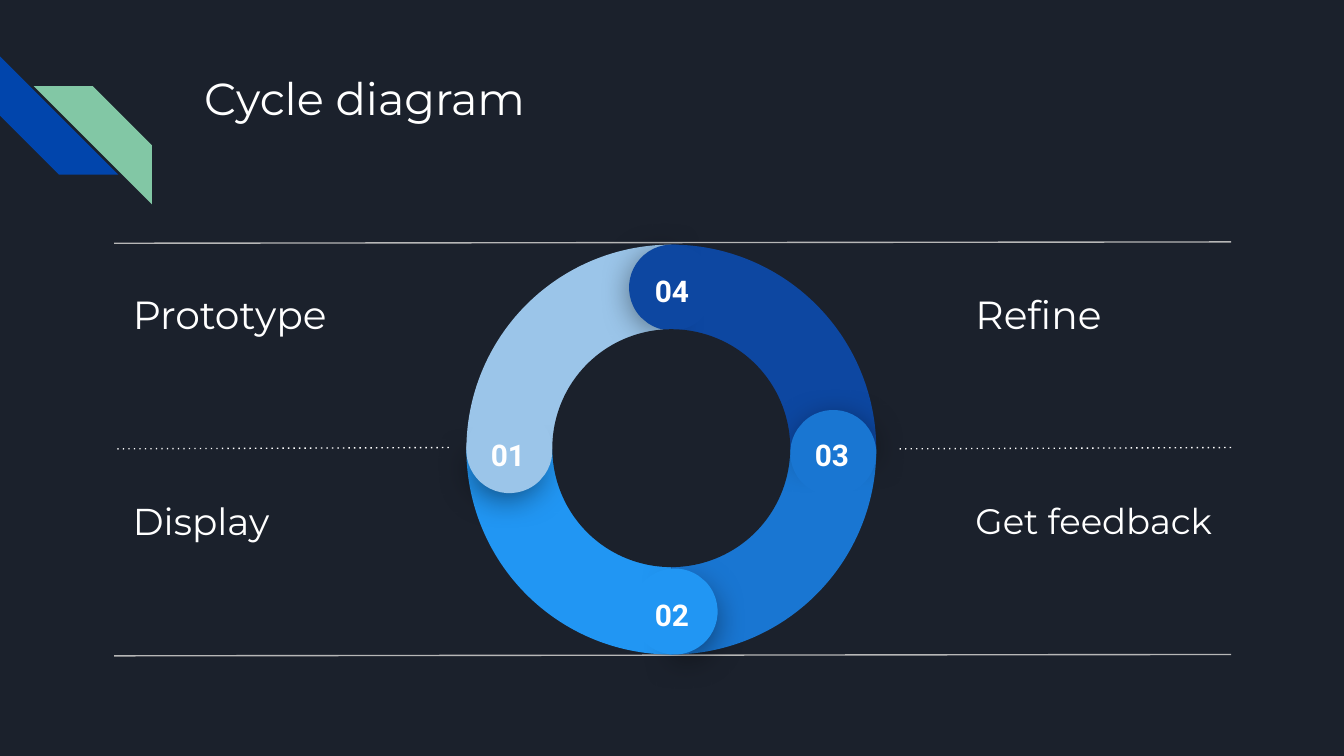
from lxml.etree import SubElement
from pptx import Presentation
from pptx.dml.color import RGBColor
from pptx.enum.shapes import MSO_CONNECTOR, MSO_SHAPE
from pptx.enum.text import MSO_ANCHOR, PP_ALIGN
from pptx.oxml.ns import qn
from pptx.util import Inches, Pt

hues = {
    "night": "1B212C", "white": "FFFFFF", "gray": "B7B7B7",
    "royal": "0145AC", "green": "82C7A5",
    "pale": "9BC5E9", "sky": "2196F3", "blue": "1976D2", "navy": "0D47A1",
}

deck = Presentation()
deck.slide_width = Inches(10)
deck.slide_height = Inches(10 * 9 / 16)
slide = deck.slides.add_slide(deck.slide_layouts[6])
back = slide.background.fill
back.solid()
back.fore_color.rgb = RGBColor.from_string(hues["night"])


def draw(kind, left, top, size, hue, turn=0, adjust=()):
    shape = slide.shapes.add_shape(
        kind, Inches(left), Inches(top), Inches(size), Inches(size))
    for i, value in enumerate(adjust):
        shape.adjustments[i] = value
    shape.rotation = turn % 360
    shape.fill.solid()
    shape.fill.fore_color.rgb = RGBColor.from_string(hues[hue])
    shape.line.fill.background()
    shape.shadow.inherit = False
    return shape


def write(text, left, top, width, height, size, font="Montserrat",
          anchor=MSO_ANCHOR.TOP, align=PP_ALIGN.LEFT, bold=False):
    box = slide.shapes.add_textbox(
        Inches(left), Inches(top), Inches(width), Inches(height))
    frame = box.text_frame
    frame.word_wrap = True
    frame.vertical_anchor = anchor
    frame.margin_left = frame.margin_right = Inches(0.1)
    frame.margin_top = frame.margin_bottom = Inches(0.1)
    para = frame.paragraphs[0]
    para.alignment = align
    run = para.add_run()
    run.text = text
    run.font.name = font
    run.font.size = Pt(size)
    run.font.bold = bold
    run.font.color.rgb = RGBColor.from_string(hues["white"])


draw(MSO_SHAPE.DIAGONAL_STRIPE, 0, 0.42, 0.88, "royal", 270, [0.5])
draw(MSO_SHAPE.DIAGONAL_STRIPE, 0.25, 0.64, 0.88, "green", 90, [0.5])
write("Cycle diagram", 1.42, 0.43, 7.7, 1, 24)

for text, left, top, size in [
    ("Prototype", 0.89, 2.09, 21),
    ("Display", 0.89, 3.63, 20),
    ("Refine", 7.16, 2.09, 21),
    ("Get feedback", 7.16, 3.63, 19),
]:
    write(text, left, top, 2.03, 0.49, size, anchor=MSO_ANCHOR.MIDDLE)

for right, left, top, hue, dotted in [
    (9.16, 0.85, 1.8, "gray", False),
    (3.34, 0.85, 3.33, "white", True),
    (9.16, 6.67, 3.33, "white", True),
    (9.16, 0.85, 4.87, "gray", False),
]:
    rule = slide.shapes.add_connector(
        MSO_CONNECTOR.STRAIGHT,
        Inches(right), Inches(top), Inches(left), Inches(top + 0.01))
    rule.line.width = Pt(0.75)
    rule.line.color.rgb = RGBColor.from_string(hues[hue])
    props = rule._element.spPr
    if dotted:
        SubElement(props.find(qn("a:ln")), qn("a:prstDash"), val="dot")
    SubElement(props, qn("a:effectLst"))

steps = [
    ("01", "pale", 0, (3.48, 3.07), (3.47, 3.03), (3.5, 3.15)),
    ("02", "sky", 270, (4.74, 4.28), (4.7, 4.23), (4.72, 4.34)),
    ("03", "blue", 180, (5.93, 3.07), (5.88, 3.05), (5.91, 3.15)),
    ("04", "navy", 90, (4.7, 1.83), (4.68, 1.82), (4.72, 1.93)),
]

for step in steps:
    draw(MSO_SHAPE.PIE, 3.47, 1.82, 3.05, step[1], step[2], [107.96, 162.01])

for number, hue, turn, cap, cover, label in steps:
    knob = draw(MSO_SHAPE.PIE, *cap, 0.57, hue, turn + 39.5, [189.54, 83.81])
    effects = knob._element.spPr.find(qn("a:effectLst"))
    shade = SubElement(
        effects, qn("a:outerShdw"), blurRad=str(Pt(18)), dist=str(Pt(4)),
        dir="5400000", algn="bl", rotWithShape="0")
    black = SubElement(shade, qn("a:srgbClr"), val="000000")
    SubElement(black, qn("a:alpha"), val="55000")
    draw(MSO_SHAPE.CHORD, *cover, 0.64, hue, turn + 4.1, [25.01, 18.12])
    write(number, *label, 0.56, 0.29, 16, "Roboto",
          align=PP_ALIGN.CENTER, bold=True)

draw(MSO_SHAPE.OVAL, 4.11, 2.45, 1.77, "night")

deck.save("out.pptx")
